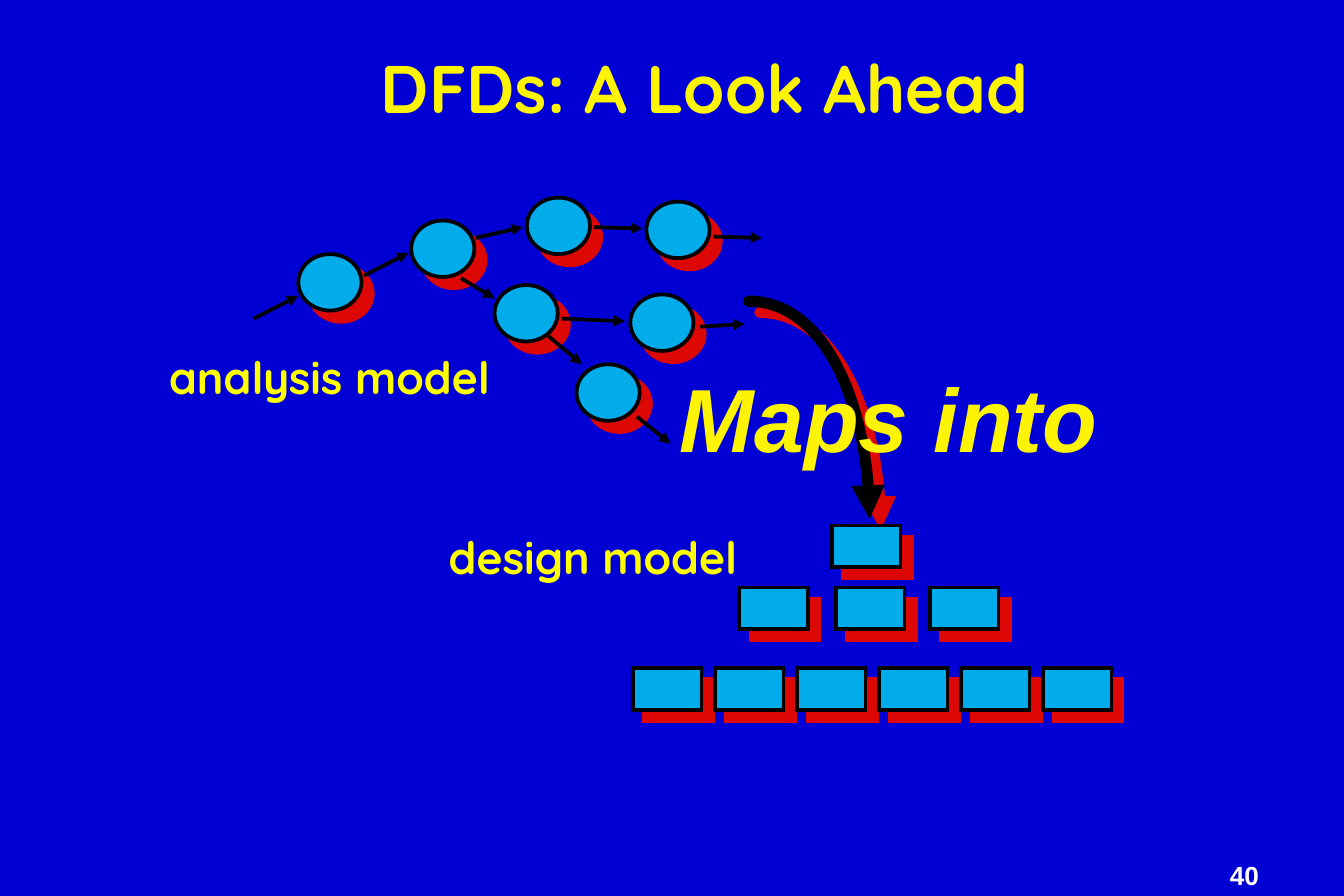
import pptx
import pptx.dml.color
import pptx.enum.shapes
import pptx.enum.text
import pptx.oxml
import pptx.oxml.ns
import pptx.util
import lxml.etree

RGB = pptx.dml.color.RGBColor
NAVY = RGB(0x00, 0x00, 0xD4)
SKY = RGB(0x02, 0xAB, 0xEA)
RED = RGB(0xDD, 0x08, 0x06)
GOLD = RGB(0xFC, 0xF3, 0x05)
YELLOW = RGB(0xFF, 0xFF, 0x00)
BLACK = RGB(0x00, 0x00, 0x00)
WHITE = RGB(0xFF, 0xFF, 0xFF)

PX = 9144
SLIDE_WIDTH = pptx.util.Emu(9144000)
SLIDE_HEIGHT = pptx.util.Emu(6094413)
SHAPE = pptx.enum.shapes.MSO_SHAPE
ALIGN = pptx.enum.text.PP_ALIGN
ANCHOR = pptx.enum.text.MSO_ANCHOR


def px(*lengths):
    return [n * PX for n in lengths]


def add_child(parent, tag, **attrs):
    child = lxml.etree.SubElement(parent, pptx.oxml.ns.qn(tag))
    for name, value in attrs.items():
        child.set(name, str(value))
    return child


def write(tf, text, size, color, font="Quicksand", italic=False,
          align=ALIGN.LEFT, spacing=1.0):
    p = tf.paragraphs[0]
    p.alignment = align
    p.line_spacing = spacing
    r = p.add_run()
    r.text = text
    r.font.name = font
    r.font.size = pptx.util.Pt(size)
    r.font.bold = True
    r.font.italic = italic
    r.font.color.rgb = color


class Diagram:
    def __init__(self, slide):
        self.s = slide
        self.fill = SKY
        self.line = BLACK
        self.shadow = RED
        self.weight = 2

    def stroke(self, sp, weight, arrow=False, cap="flat", join="a:round"):
        sp.line.color.rgb = self.line
        sp.line.width = pptx.util.Pt(weight)
        ln = sp.line._get_or_add_ln()
        ln.set("cap", cap)
        add_child(ln, join)
        if arrow:
            add_child(ln, "a:tailEnd", type="triangle")

    def cast_shadow(self, sp):
        sp.shadow.inherit = False
        effects = sp._element.spPr.find(pptx.oxml.ns.qn("a:effectLst"))
        shadow = add_child(effects, "a:outerShdw", blurRad=0,
                           dist=pptx.util.Pt(8.5), dir=45 * 60000,
                           algn="ctr", rotWithShape=0)
        add_child(shadow, "a:srgbClr", val=self.shadow)

    def node(self, kind, x, y, w, h):
        sp = self.s.shapes.add_shape(kind, *px(x, y, w, h))
        sp.fill.solid()
        sp.fill.fore_color.rgb = self.fill
        self.stroke(sp, self.weight, join="a:miter")
        self.cast_shadow(sp)

    def arrow(self, x1, y1, x2, y2):
        sp = self.s.shapes.add_connector(
            pptx.enum.shapes.MSO_CONNECTOR.STRAIGHT, *px(x1, y1, x2, y2))
        self.stroke(sp, self.weight, arrow=True)
        add_child(sp._element.spPr, "a:effectLst")

    def curved_arrow(self, x, y, w, h, weight):
        builder = self.s.shapes.build_freeform(x, y, scale=PX)
        builder.add_line_segments([(x + w, y + h)], close=False)
        sp = builder.convert_to_shape()
        segment = sp._element.xpath(".//a:lnTo")[0]
        curve = add_child(segment.getparent(), "a:cubicBezTo")
        for cx, cy in ((w * 5 // 9, 0), (w, h * 4 // 9), (w, h)):
            add_child(curve, "a:pt", x=cx, y=cy)
        segment.getparent().remove(segment)
        sp.fill.background()
        self.stroke(sp, weight, arrow=True, cap="rnd")
        self.cast_shadow(sp)

    def label(self, x, y, w, h, text, size, color, wrap=False,
              anchor=ANCHOR.TOP, inset=(10, 5), **style):
        tf = self.s.shapes.add_textbox(*px(x, y, w, h)).text_frame
        tf.word_wrap = wrap
        tf.vertical_anchor = anchor
        tf.margin_left = tf.margin_right = inset[0] * PX
        tf.margin_top = tf.margin_bottom = inset[1] * PX
        write(tf, text, size, color, **style)


def main():
    prs = pptx.Presentation()
    prs.slide_width, prs.slide_height = SLIDE_WIDTH, SLIDE_HEIGHT
    s = prs.slides.add_slide(prs.slide_layouts[6])
    s.background.fill.solid()
    s.background.fill.fore_color.rgb = NAVY
    d = Diagram(s)

    d.label(908, 639, 108, 27, "40", 14, WHITE, font="Arial",
            inset=(7, 3), spacing=0.9)
    d.curved_arrow(557, 224, 90, 162, weight=6)
    d.label(496, 265, 331, 90, "Maps into", 48, GOLD, font="Arial", italic=True)
    d.label(208, 37, 633, 63, "DFDs: A Look Ahead", 36, GOLD, wrap=True,
            anchor=ANCHOR.MIDDLE, align=ALIGN.CENTER, spacing=0.88)

    processes = [(222, 189), (306, 164), (392, 147), (368, 212),
                 (429, 271), (481, 150), (469, 219)]
    for x, y in processes:
        d.node(SHAPE.OVAL, x, y, 47, 42)

    flows = [(189, 237, 222, 220), (271, 205, 304, 188), (354, 177, 389, 169),
             (442, 169, 478, 170), (531, 176, 567, 177), (343, 207, 368, 222),
             (408, 250, 433, 271), (474, 310, 499, 330), (521, 243, 554, 241),
             (418, 237, 465, 239)]
    for flow in flows:
        d.arrow(*flow)

    module_rows = [(391, [619]), (437, [550, 622, 692]),
                   (497, range(471, 777, 61))]
    for y, lefts in module_rows:
        for x in lefts:
            d.node(SHAPE.RECTANGLE, x, y, 51, 31)

    d.label(116, 255, 262, 50, "analysis model", 24, YELLOW)
    d.label(324, 389, 241, 50, "design model", 24, YELLOW)
    prs.save("out.pptx")


if __name__ == "__main__":
    main()
